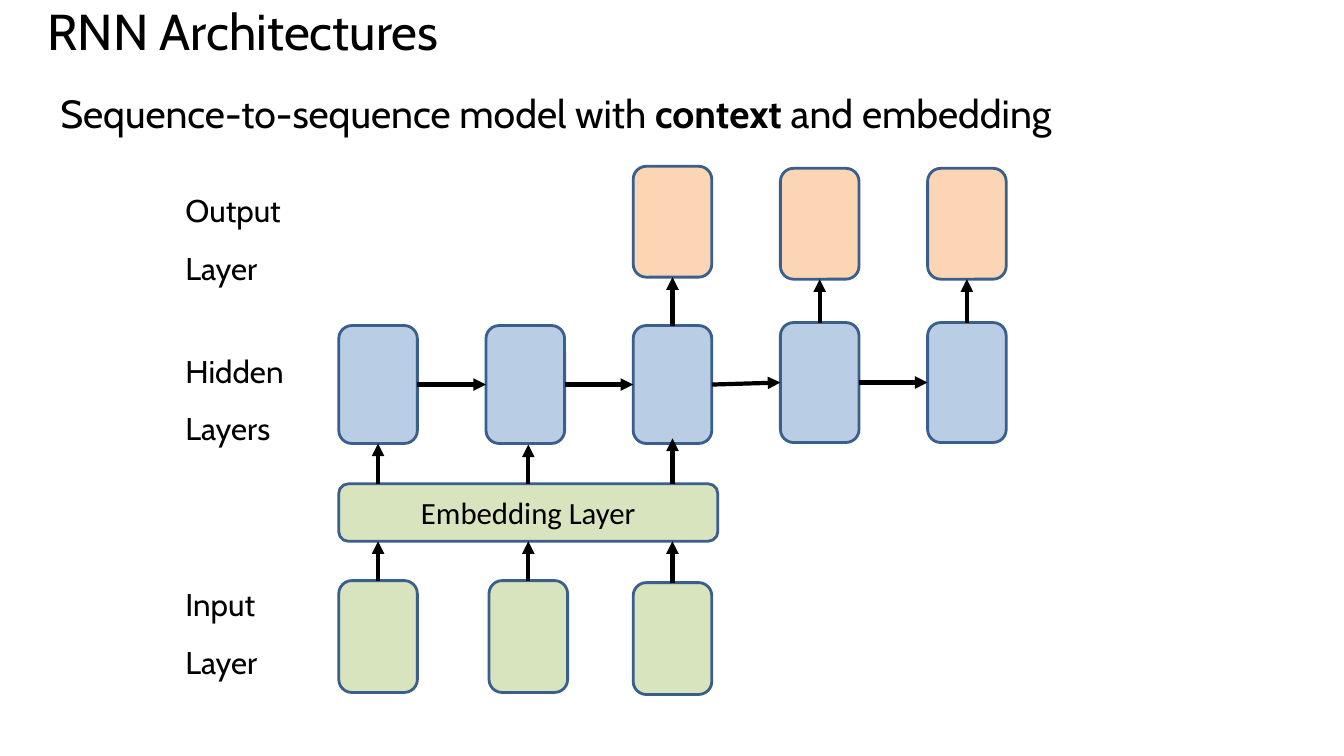
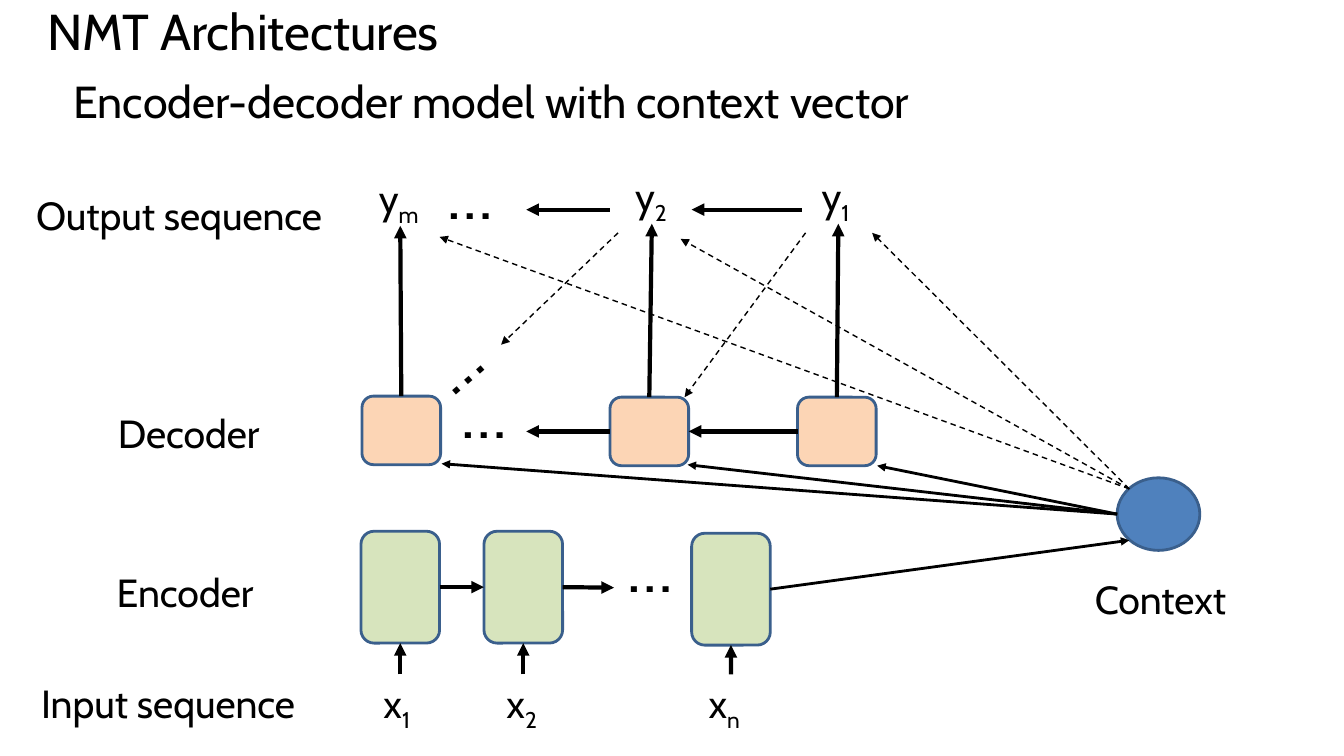
from dataclasses import dataclass

from lxml import etree
from pptx import Presentation
from pptx.dml.color import RGBColor
from pptx.enum.dml import MSO_LINE
from pptx.enum.shapes import MSO_CONNECTOR, MSO_SHAPE
from pptx.enum.text import MSO_ANCHOR, MSO_AUTO_SIZE, PP_ALIGN
from pptx.oxml.ns import qn
from pptx.util import Inches, Pt

ROUND, OVAL = MSO_SHAPE.ROUNDED_RECTANGLE, MSO_SHAPE.OVAL
STRAIGHT, DASH = MSO_CONNECTOR.STRAIGHT, MSO_LINE.DASH
TOP, MIDDLE, NO_FIT = MSO_ANCHOR.TOP, MSO_ANCHOR.MIDDLE, MSO_AUTO_SIZE.NONE
LEFT, CENTER = PP_ALIGN.LEFT, PP_ALIGN.CENTER
SIDE_TOP, SIDE_LEFT, SIDE_BOTTOM, SIDE_RIGHT = range(4)
CELL_W = 0.78
CELL_H = 1.11


@dataclass(frozen=True)
class Theme:
    """Colours, fonts, type sizes and line widths."""
    ink: str = "000000"
    outline: str = "3A5F8C"
    green: str = "D7E4BD"
    blue: str = "B9CDE5"
    peach: str = "FCD5B5"
    accent: str = "4F81BD"
    font: str = "Cabin"
    box_font: str = "Calibri"
    title: float = 36
    label: float = 28
    layer: float = 22.4
    box_text: float = 22
    dots: float = 48
    border: float = 2
    thick: float = 3
    medium: float = 2
    thin: float = 1


T = Theme()


def write(tf, paragraphs, size, font=T.font, align=LEFT, spacing=None):
    """Fill a text frame with paragraphs, each a list of (text, format) runs."""
    for i, runs in enumerate(paragraphs):
        p = tf.paragraphs[0] if i == 0 else tf.add_paragraph()
        p.alignment, p.space_before = align, Pt(14)
        if spacing:
            p.line_spacing = spacing
        for text, extra in runs:
            r = p.add_run()
            r.text = text
            r.font.color.rgb = RGBColor.from_string(T.ink)
            if "baseline" in extra:
                r._r.get_or_add_rPr().set("baseline", extra["baseline"])
            style = {"name": font, "size": Pt(size), "bold": extra.get("bold", False)}
            for key, value in style.items():
                setattr(r.font, key, value)


class Region:
    """A part of a slide whose contents are placed from its top left corner."""

    def __init__(self, s, x, y):
        """Keep the slide and the corner in inches."""
        self.s, self.x, self.y = s, x, y

    def place(self, x, y):
        """Turn a local point into slide lengths."""
        return Inches(self.x + x), Inches(self.y + y)

    def text(self, paragraphs, x, y, w, h, size, spacing=None):
        """Add a text box."""
        sp = self.s.shapes.add_textbox(*self.place(x, y), Inches(w), Inches(h))
        tf = sp.text_frame
        settings = {"word_wrap": True, "auto_size": NO_FIT, "vertical_anchor": TOP}
        for key, value in settings.items():
            setattr(tf, key, value)
        write(tf, paragraphs, size, spacing=spacing)
        return sp

    def label(self, text, x, y, w=2.57, h=0.89, size=T.label):
        """Add plain text, one paragraph for each line."""
        return self.text([[(line, {})] for line in text.split("\n")], x, y, w, h, size)

    def symbol(self, name, index, x, y, w=0.53):
        """Add a variable with a subscript."""
        runs = [(name, {}), (index, {"baseline": "-25000"})]
        return self.text([runs], x, y, w, 0.56, T.label)

    def dots(self, x, y, h=0.93, turn=0):
        """Add an ellipsis sign."""
        self.label("…", x, y, 0.82, h, T.dots).rotation = turn

    def box(self, x, y, fill, w=CELL_W, h=CELL_H, kind=ROUND, text=""):
        """Add an outlined shape."""
        sp = self.s.shapes.add_shape(kind, *self.place(x, y), Inches(w), Inches(h))
        sp.shadow.inherit = False
        sp.fill.solid()
        sp.fill.fore_color.rgb = RGBColor.from_string(fill)
        sp.line.color.rgb = RGBColor.from_string(T.outline)
        sp.line.width = Pt(T.border)
        if text:
            sp.text_frame.vertical_anchor = MIDDLE
            write(sp.text_frame, [[(text, {})]], T.box_text, T.box_font, CENTER)
        return sp

    def arrow(self, start, end, width=T.thick, dash=None):
        """Draw an arrow; each end is a local point or a (shape, side) pair."""
        free = [(0, 0) if hasattr(a, "shape_id") else (a, b) for a, b in (start, end)]
        c = self.s.shapes.add_connector(
            STRAIGHT, *self.place(*free[0]), *self.place(*free[1]))
        for (a, b), join in ((start, c.begin_connect), (end, c.end_connect)):
            if hasattr(a, "shape_id"):
                join(a, b)
        c.line.color.rgb = RGBColor.from_string(T.ink)
        c.line.width = Pt(width)
        if dash:
            c.line.dash_style = dash
        etree.SubElement(c.line._get_or_add_ln(), qn("a:tailEnd"), type="triangle")
        etree.SubElement(c._element.spPr, qn("a:effectLst"))


def new_slide(prs, title, subtitle, x, y, size):
    """Add a blank slide with its title and subtitle."""
    s = prs.slides.add_slide(prs.slide_layouts[6])
    page = Region(s, 0, 0)
    page.text([[(title, {})]], 0.37, 0.07, 12.6, 0.89, T.title, 0.8)
    page.text([subtitle], x, y, 12.68, 0.85, size)
    return s


def layer_names(s, x, y):
    """Name the three layers of the RNN."""
    g = Region(s, x, y)
    for text, top in (("Output\nLayer", 0), ("Hidden\nLayers", 1.59), ("Input\nLayer", 3.91)):
        g.label(text, 0, top, 1.42, size=T.layer)


def rnn_diagram(s, x, y):
    """Draw input, embedding, hidden and output layers."""
    g = Region(s, x, y)
    cols = [1.46 * i for i in range(5)]
    hidden = [g.box(c, 1.58, T.blue, h=1.17) for c in cols[:3]]
    hidden += [g.box(c, 1.55, T.blue, h=1.19) for c in cols[3:]]
    for left, right in zip(hidden, hidden[1:]):
        g.arrow((left, SIDE_RIGHT), (right, SIDE_LEFT))
    for col, top, cell in zip(cols[2:], (0, 0.02, 0.02), hidden[2:]):
        out = g.box(col, top, T.peach, h=1.1)
        g.arrow((cell, SIDE_TOP), (out, SIDE_BOTTOM))
    g.box(0, 3.15, T.green, 3.76, 0.57, text="Embedding Layer")
    tips = ((hidden[0], SIDE_BOTTOM), (1.88, 2.76), (3.31, 2.7))
    for left, top, tip in zip((0, 1.49, 2.92), (4.11, 4.11, 4.13), tips):
        cell = g.box(left, top, T.green)
        mid = left + CELL_W / 2
        g.arrow((cell, SIDE_TOP), (mid, 3.72))
        g.arrow((mid, 3.15), tip)


def row_names(s, x, y):
    """Name the rows of the encoder-decoder model."""
    g = Region(s, x, y)
    rows = (("Output sequence", 0, 0), ("Decoder", 0.81, 2.16),
            ("Encoder", 0.8, 3.74), ("Input sequence", 0.05, 4.84))
    for text, left, top in rows:
        g.label(text, left, top, 3.24)


def output_row(s, x, y):
    """Draw the output symbols from last to first and return them."""
    g = Region(s, x, y)
    g.dots(0.68, -0.2)
    for start, end in ((2.39, 1.56), (4.29, 3.2)):
        g.arrow((start, 0.42), (end, 0.42))
    return [g.symbol("y", "m", 0, 0.02, 0.62),
            g.symbol("y", "2", 2.54, 0), g.symbol("y", "1", 4.39, 0)]


def decoder_row(s, x, y, outputs):
    """Draw the decoder cells, their outputs and the feedback arrows."""
    g = Region(s, x, y)
    lefts, tops = (0, 2.46, 4.32), (0, 0.01, 0.01)
    cells = [g.box(c, t, T.peach, h=0.68) for c, t in zip(lefts, tops)]
    for cell, out in zip(cells, outputs):
        g.arrow((cell, SIDE_TOP), (out, SIDE_BOTTOM))
    g.arrow((cells[2], SIDE_LEFT), (cells[1], SIDE_RIGHT))
    g.arrow((cells[1], SIDE_LEFT), (1.63, 0.35))
    g.dots(0.89, -0.3)
    g.dots(0.57, -0.85, turn=319)
    for start, end in (((4.4, -1.62), (3.2, 0.01)), ((2.54, -1.62), (1.38, -0.51))):
        g.arrow(start, end, T.thin, DASH)


def encoder_row(s, x, y):
    """Draw the encoder cells with their inputs and return the last cell."""
    g = Region(s, x, y)
    cells = []
    inputs = (("1", 0, 0, 0.53), ("2", 1.22, 0, 0.53), ("n", 3.28, 0.02, 0.64))
    for index, left, top, w in inputs:
        cell = g.box(left, top, T.green)
        sign = g.symbol("x", index, left + (CELL_W - w) / 2, 1.42, w)
        g.arrow((sign, SIDE_TOP), (cell, SIDE_BOTTOM))
        cells.append(cell)
    g.arrow((cells[0], SIDE_RIGHT), (cells[1], SIDE_LEFT))
    g.arrow((cells[1], SIDE_RIGHT), (2.51, 0.56))
    g.dots(2.55, -0.11, 0.85)
    return cells[-1]


def context_vector(s, x, y, last_cell):
    """Draw the context and its arrows to the decoder and the outputs."""
    g = Region(s, x, y)
    g.box(0, 0, T.accent, 0.82, 0.72, OVAL)
    g.label("Context", -0.32, 0.92)
    g.arrow((last_cell, SIDE_RIGHT), (0.12, 0.62), T.medium)
    for end in ((-6.7, -0.14), (-4.26, -0.13), (-2.38, -0.12)):
        g.arrow((0, 0.36), end, T.medium)
    for end in ((-6.72, -2.39), (-4.33, -2.37), (-2.43, -2.43)):
        g.arrow((0.12, 0.11), end, T.thin, DASH)


def main():
    """Build and save both slides."""
    prs = Presentation()
    prs.slide_width, prs.slide_height = Inches(13.33), Inches(7.5)
    subtitle = [("Sequence-to-sequence model with ", {}),
                ("context", {"bold": True}), (" and embedding", {})]
    s = new_slide(prs, "RNN Architectures", subtitle, 0.5, 0.84, 28)
    layer_names(s, 1.74, 1.85)
    rnn_diagram(s, 3.36, 1.65)

    subtitle = [("Encoder-decoder model with context vector", {})]
    s = new_slide(prs, "NMT Architectures", subtitle, 0.63, 0.68, 32)
    row_names(s, 0.26, 1.85)
    decoder_row(s, 3.59, 3.93, output_row(s, 3.66, 1.66))
    context_vector(s, 11.08, 4.74, encoder_row(s, 3.58, 5.27))
    prs.save("out.pptx")


if __name__ == "__main__":
    main()
